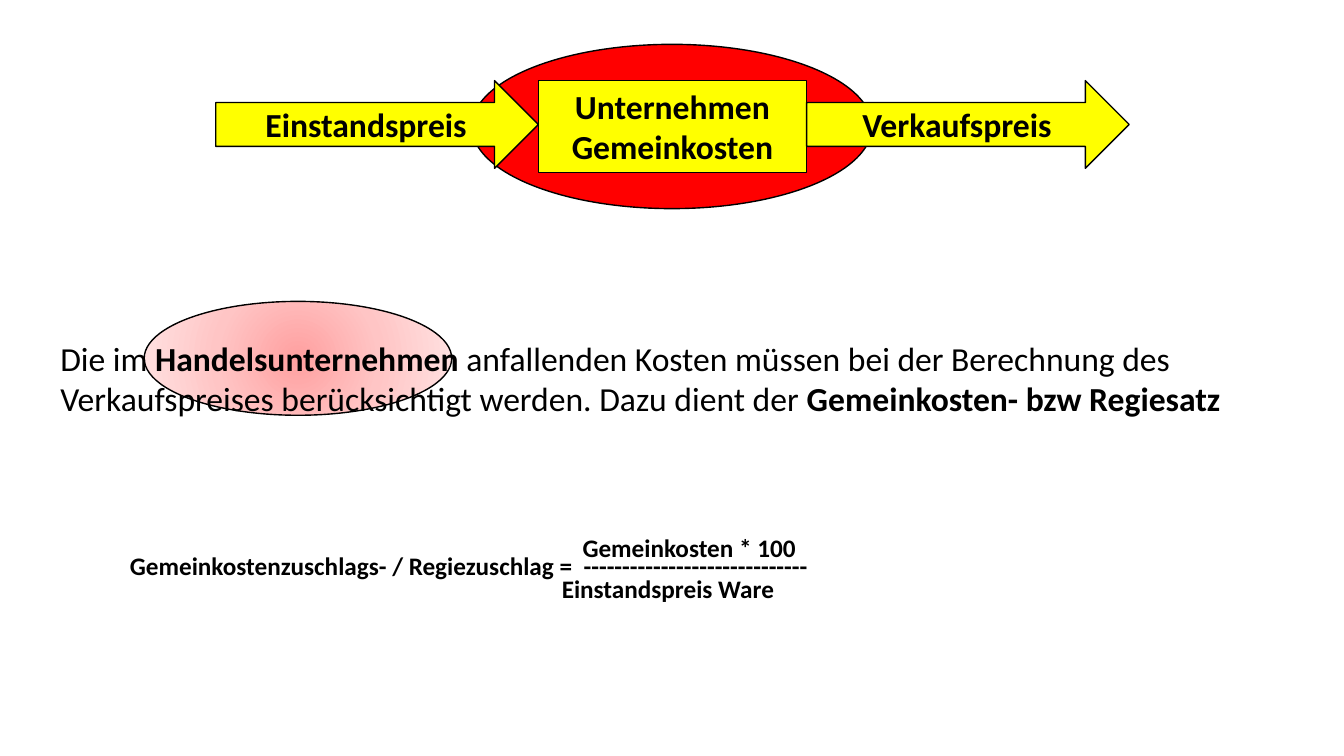
import pptx
import pptx.util
import pptx.dml.color
import pptx.enum.shapes
import pptx.enum.text
import pptx.oxml
import pptx.oxml.ns

SCALE = 9144  # EMU per px, 100 px to the inch
BLACK, RED, YELLOW = "000000", "FF0000", "FFFF00"
SHAPES = pptx.enum.shapes.MSO_SHAPE
ALIGN = pptx.enum.text.PP_ALIGN
ANCHOR = pptx.enum.text.MSO_ANCHOR
GROW = pptx.enum.text.MSO_AUTO_SIZE.SHAPE_TO_FIT_TEXT


def px(*lengths):
    return [pptx.util.Emu(length * SCALE) for length in lengths]


def color(hex_value):
    return pptx.dml.color.RGBColor.from_string(hex_value)


def set_all(target, formats):
    for name, value in formats.items():
        setattr(target, name, value)


def write(shape, paragraphs, size, align, frame_formats):
    """Fill a shape with paragraphs, each a list of (text, bold) runs."""
    frame = shape.text_frame
    set_all(frame, {"word_wrap": True, **frame_formats})
    for index, runs in enumerate(paragraphs):
        paragraph = frame.add_paragraph() if index else frame.paragraphs[0]
        paragraph.alignment = align
        for text, bold in runs:
            run = paragraph.add_run()
            run.text = text
            set_all(run.font, {"name": "Calibri", "bold": bold,
                               "size": pptx.util.Pt(size)})
            run.font.color.rgb = color(BLACK)


def add_figure(parent, kind, box, fill=None, line_width=1):
    figure = parent.add_shape(kind, *px(*box))
    figure.shadow.inherit = False
    if fill:
        figure.fill.solid()
        figure.fill.fore_color.rgb = color(fill)
    figure.line.color.rgb = color(BLACK)
    figure.line.width = pptx.util.Pt(line_width)
    return figure


def add_text(parent, box, runs, size, align=ALIGN.LEFT):
    text_box = parent.add_textbox(*px(*box))
    write(text_box, [runs], size, align, {"auto_size": GROW})
    return text_box


def fill_radially(figure, stops):
    marks = "".join(f'<a:gs pos="{percent * 1000}"><a:srgbClr val="{value}"/></a:gs>'
                    for percent, value in stops)
    gradient = pptx.oxml.parse_xml(
        f'<a:gradFill {pptx.oxml.ns.nsdecls("a")} rotWithShape="1">'
        f'<a:gsLst>{marks}</a:gsLst><a:path path="circle">'
        '<a:fillToRect l="50000" t="50000" r="50000" b="50000"/>'
        '</a:path></a:gradFill>')
    figure._element.spPr.find(pptx.oxml.ns.qn("a:prstGeom")).addnext(gradient)


def add_tab_stop(paragraph, position):
    paragraph._p.get_or_add_pPr().append(pptx.oxml.parse_xml(
        f'<a:tabLst {pptx.oxml.ns.nsdecls("a")}>'
        f'<a:tab pos="{position * SCALE}" algn="l"/></a:tabLst>'))


def add_price_flow(shapes):
    flow = shapes.add_group_shape().shapes
    company = add_figure(flow, SHAPES.RECTANGLE, (534, 80, 266, 91), YELLOW, 0.75)
    write(company, [[("Unternehmen", True)], [("Gemeinkosten", True)]], 24,
          ALIGN.CENTER, {"auto_size": GROW, "vertical_anchor": ANCHOR.TOP})
    for left, price in ((214, "Einstandspreis"), (800, "Verkaufspreis")):
        arrow = add_figure(flow, SHAPES.RIGHT_ARROW, (left, 80, 320, 87), YELLOW)
        write(arrow, [[(price, True)]], 24, ALIGN.CENTER,
              {"vertical_anchor": ANCHOR.MIDDLE})


def add_formula(shapes):
    formula = shapes.add_group_shape().shapes
    equation = add_text(
        formula, (119, 541, 899, 40),
        [("Gemeinkostenzuschlags- / Regiezuschlag =\t" + "-" * 29, True)], 18)
    add_tab_stop(equation.text_frame.paragraphs[0], 450)
    for left, top, term in ((534, 523, "Gemeinkosten * 100"),
                            (513, 564, "Einstandspreis Ware")):
        add_text(formula, (left, top, 299, 40), [(term, True)], 18, ALIGN.CENTER)


def main():
    deck = pptx.Presentation()
    deck.slide_width, deck.slide_height = px(1333, 750)
    shapes = deck.slides.add_slide(deck.slide_layouts[6]).shapes

    # Highlights behind the text and the price flow
    trade_highlight = add_figure(shapes, SHAPES.OVAL, (143, 299, 305, 113))
    fill_radially(trade_highlight, [(0, "FFA0A0"), (50, "FFC5C5"), (100, "FFE3E3")])
    add_figure(shapes, SHAPES.OVAL, (468, 44, 397, 163), RED)

    # From purchase price to selling price
    add_price_flow(shapes)

    # Explanation
    add_text(shapes, (50, 330, 1233, 91), [
        ("Die im ", False),
        ("Handelsunternehmen", True),
        (" anfallenden Kosten müssen bei der Berechnung des "
         "Verkaufspreises berücksichtigt werden. Dazu dient der ", False),
        ("Gemeinkosten- bzw Regiesatz", True),
    ], 24)

    # Surcharge formula
    add_formula(shapes)

    deck.save("out.pptx")


if __name__ == "__main__":
    main()
